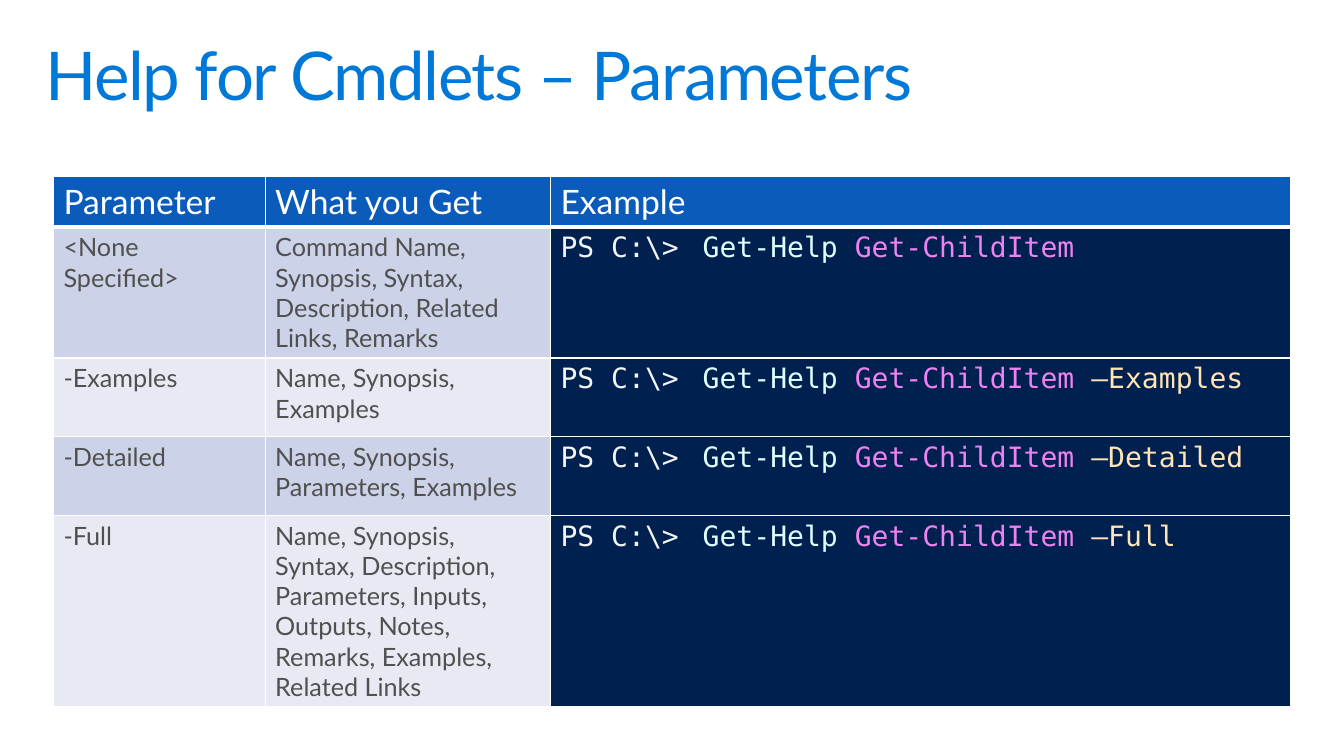
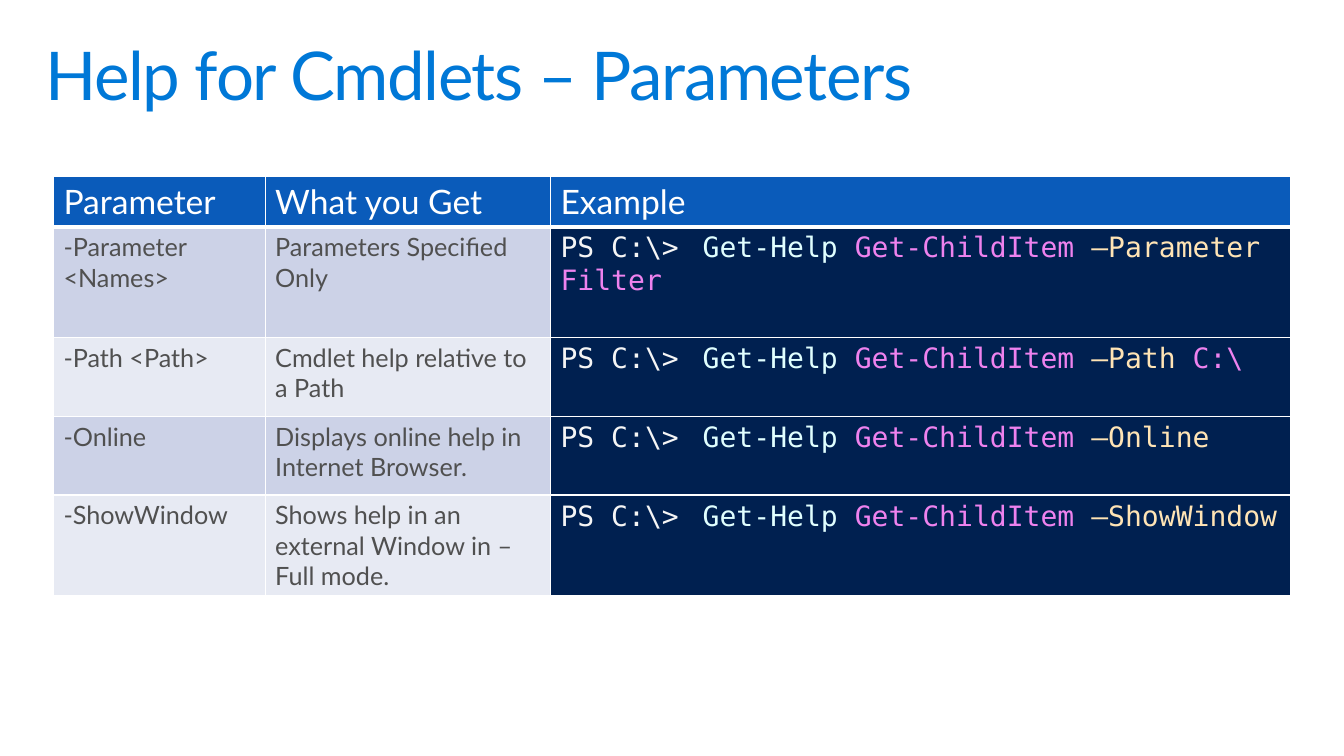
from dataclasses import dataclass

from lxml.etree import SubElement
from pptx import Presentation
from pptx.dml.color import RGBColor
from pptx.enum.text import MSO_ANCHOR
from pptx.oxml.ns import qn
from pptx.util import Inches, Pt


@dataclass(frozen=True)
class Theme:
    """Colours, fonts and type sizes shared by the slides."""
    title: str = "0078D7"
    header: str = "0A5BBA"
    white: str = "FFFFFF"
    body: str = "505050"
    bands: tuple = ("CCD2E7", "E7EAF3")
    console: str = "002050"
    prompt: str = "F5F5F5"
    command: str = "E0FFFF"
    argument: str = "EE82EE"
    flag: str = "FFE4B5"
    text_font: str = "Lato"
    code_font: str = "DejaVu Sans Mono"
    title_size: int = 48
    header_size: int = 24
    body_size: int = 18
    code_size: int = 20


THEME = Theme()
TITLE = "Help for Cmdlets – Parameters"
TITLE_BOX = (0.29, 0.32, 12.75, 0.98)
TABLE_ORIGIN = (0.53, 1.75)
COLUMN_WIDTHS = (2.1, 2.83, 7.34)
HEADINGS = ("Parameter", "What you Get", "Example")
HEADER_HEIGHT = 0.49
PROMPT_WIDTH = 1.41

SLIDES = (
    (
        ("<None Specified>",
         "Command Name, Synopsis, Syntax, Description, Related Links, Remarks",
         "", "", 1.3),
        ("-Examples", "Name, Synopsis, Examples", "–Examples", "", 0.78),
        ("-Detailed", "Name, Synopsis, Parameters, Examples", "–Detailed", "", 0.78),
        ("-Full",
         "Name, Synopsis, Syntax, Description, Parameters, Inputs, Outputs, "
         "Notes, Remarks, Examples, Related Links",
         "–Full", "", 1.88),
    ),
    (
        ("-Parameter <Names>", "Parameters Specified Only", "–Parameter", "Filter", 1.1),
        ("-Path <Path>", "Cmdlet help relative to a Path", "–Path", "C:\\", 0.78),
        ("-Online", "Displays online help in Internet Browser.", "–Online", "", 0.78),
        ("-ShowWindow", "Shows help in an external Window in –Full mode.",
         "–ShowWindow", "", 1),
    ),
)


def add_run(paragraph, text, color, size, font=THEME.text_font):
    """Append one formatted run to a paragraph."""
    run = paragraph.add_run()
    run.text = text
    formats = {"name": font, "size": Pt(size), "bold": False}
    for name, value in formats.items():
        setattr(run.font, name, value)
    run.font.color.rgb = RGBColor.from_string(color)
    return run


def add_title(slide, text, box):
    """Place the slide title in the given box."""
    shape = slide.shapes.add_textbox(*map(Inches, box))
    frame = shape.text_frame
    formats = {
        "word_wrap": True,
        "vertical_anchor": MSO_ANCHOR.TOP,
        "margin_left": Inches(0.16),
        "margin_right": Inches(0.16),
        "margin_top": Inches(0.1),
        "margin_bottom": Inches(0.1),
    }
    for name, value in formats.items():
        setattr(frame, name, value)
    paragraph = frame.paragraphs[0]
    paragraph.line_spacing = 0.9
    run = add_run(paragraph, text, THEME.title, THEME.title_size)
    run.font._element.set("spc", "-100")


def style_cell(cell, fill, top=1, bottom=1):
    """Give a cell white borders and a solid fill."""
    properties = cell._tc.get_or_add_tcPr()
    for side, width in {"L": 1, "R": 1, "T": top, "B": bottom}.items():
        line = SubElement(properties, qn(f"a:ln{side}"), w=str(Pt(width)))
        solid = SubElement(line, qn("a:solidFill"))
        SubElement(solid, qn("a:srgbClr"), val=THEME.white)
    cell.fill.solid()
    cell.fill.fore_color.rgb = RGBColor.from_string(fill)


def write_command(paragraph, flag, value):
    """Write a console line with its syntax colours."""
    tabs = SubElement(paragraph._p.get_or_add_pPr(), qn("a:tabLst"))
    SubElement(tabs, qn("a:tab"), pos=str(Inches(PROMPT_WIDTH)), algn="l")
    parts = (
        ("PS C:\\>\t", THEME.prompt),
        ("Get-Help ", THEME.command),
        ("Get-ChildItem" + (" " if flag else ""), THEME.argument),
        (flag + (" " if value else ""), THEME.flag),
        (value, THEME.argument),
    )
    for text, color in parts:
        if text:
            add_run(paragraph, text, color, THEME.code_size, THEME.code_font)


def add_parameter_table(slide, rows, left, top):
    """Place the parameter table with its top left corner at the given point."""
    heights = (HEADER_HEIGHT, *(row[-1] for row in rows))
    box = (left, top, sum(COLUMN_WIDTHS), sum(heights))
    table = slide.shapes.add_table(
        len(heights), len(COLUMN_WIDTHS), *map(Inches, box)).table
    table.first_row = table.horz_banding = False
    for column, width in zip(table.columns, COLUMN_WIDTHS):
        column.width = Inches(width)
    for row, height in zip(table.rows, heights):
        row.height = Inches(height)

    for column, heading in enumerate(HEADINGS):
        cell = table.cell(0, column)
        style_cell(cell, THEME.header, bottom=3)
        add_run(cell.text_frame.paragraphs[0], heading, THEME.white, THEME.header_size)

    for index, (parameter, result, flag, value, _) in enumerate(rows):
        band = THEME.bands[index % 2]
        cells = table.rows[index + 1].cells
        for cell, fill in zip(cells, (band, band, THEME.console)):
            style_cell(cell, fill, top=1 if index else 3)
        for cell, text in zip(cells, (parameter, result)):
            add_run(cell.text_frame.paragraphs[0], text, THEME.body, THEME.body_size)
        write_command(cells[2].text_frame.paragraphs[0], flag, value)


def main():
    """Build and save the presentation."""
    presentation = Presentation()
    presentation.slide_width = Inches(13.33)
    presentation.slide_height = Inches(7.5)
    for rows in SLIDES:
        slide = presentation.slides.add_slide(presentation.slide_layouts[6])
        add_title(slide, TITLE, TITLE_BOX)
        add_parameter_table(slide, rows, *TABLE_ORIGIN)
    presentation.save("out.pptx")


if __name__ == "__main__":
    main()
